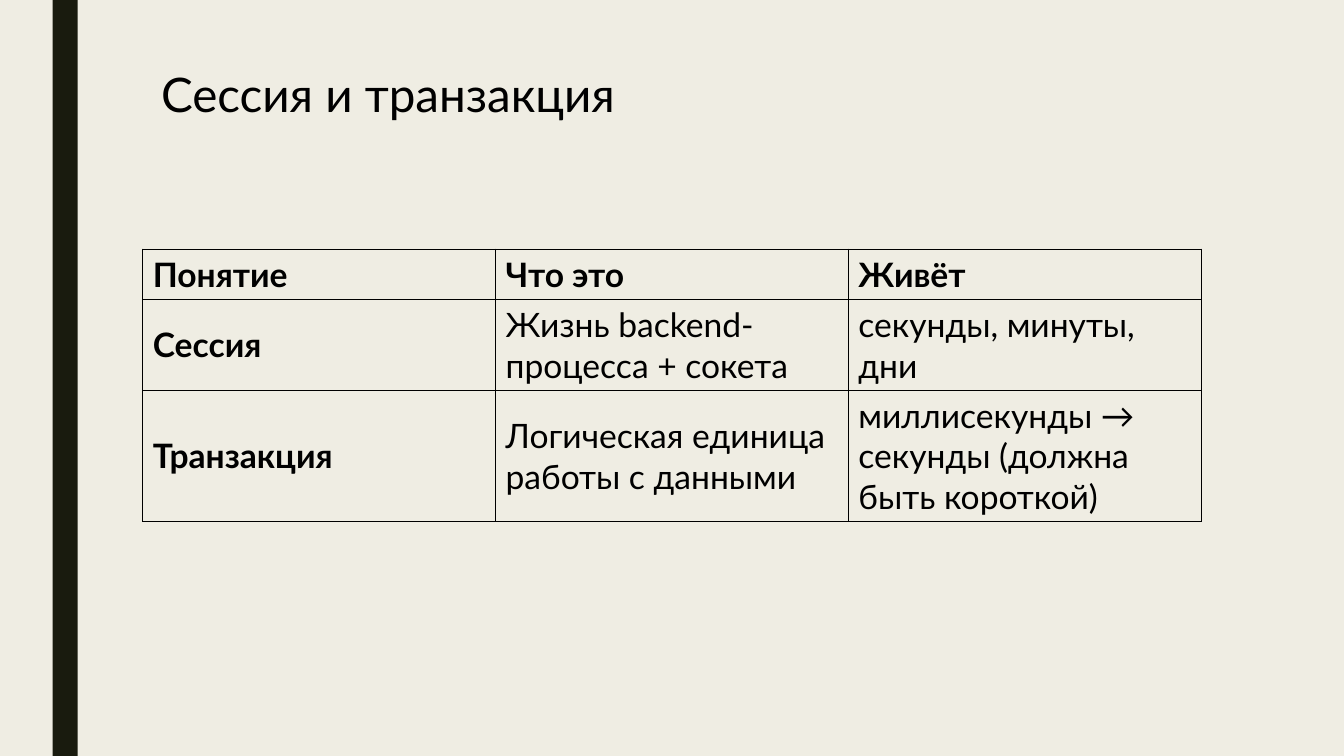
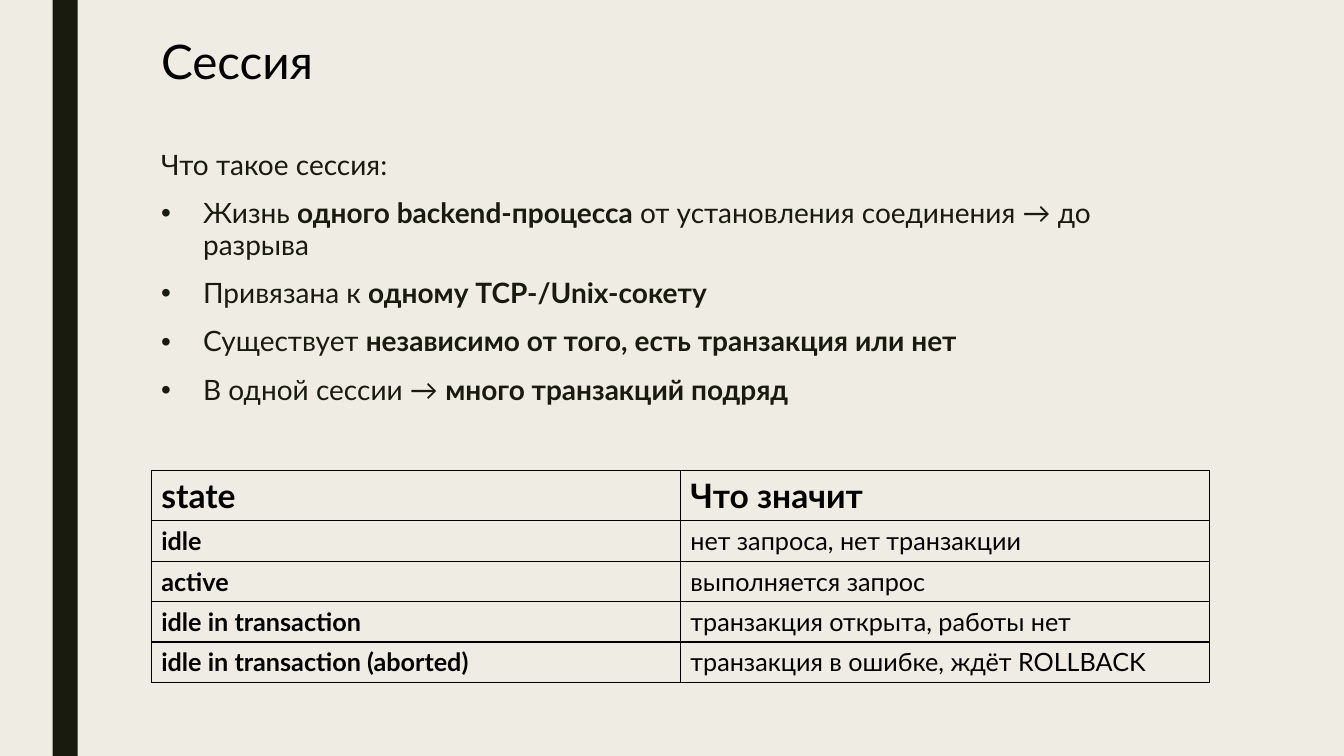
"""Build two slides on database sessions and transactions."""
from lxml import etree
from pptx import Presentation
from pptx.dml.color import RGBColor
from pptx.enum import shapes, text
from pptx.oxml import ns
from pptx.util import Pt

FONT = "Lato"
PAPER, DARK, BLACK = "EFEDE3", "191B0E", "000000"
PAGE_WIDTH, PAGE_HEIGHT = 960, 540
CONTENT_LEFT, CONTENT_WIDTH = 108, 756
INDENT = 30


def color(value):
    """Turn a hex string into a colour."""
    return RGBColor.from_string(value)


def style_font(font, size, value, bold=False):
    """Set the typeface, size, colour and weight."""
    font.name, font.size, font.bold = FONT, Pt(size), bold
    font.color.rgb = color(value)


def add_child(parent, tag, **attributes):
    """Append a drawing element to its parent."""
    return etree.SubElement(parent, ns.qn(tag), attributes)


def add_text_box(page, left, top, width, height):
    """Add a wrapping text box and return its frame."""
    frame = page.shapes.add_textbox(Pt(left), Pt(top), Pt(width), Pt(height)).text_frame
    frame.word_wrap = True
    frame.vertical_anchor = text.MSO_ANCHOR.TOP
    return frame


def add_page(deck, title, title_top):
    """Add a page with the side band and a title."""
    page = deck.slides.add_slide(deck.slide_layouts[6])
    band = page.shapes.add_shape(
        shapes.MSO_SHAPE.RECTANGLE, Pt(37.5), Pt(0), Pt(18), Pt(PAGE_HEIGHT))
    band.shadow.inherit = False
    band.fill.solid()
    band.fill.fore_color.rgb = color(DARK)
    band.line.fill.background()
    frame = add_text_box(page, CONTENT_LEFT, title_top, CONTENT_WIDTH, 85)
    frame.text = title
    para = frame.paragraphs[0]
    para.line_spacing = 0.89
    style_font(para.runs[0].font, 34, BLACK)
    return page


def add_bullet(para):
    """Give a paragraph a round bullet and a hanging indent."""
    properties = para._p.get_or_add_pPr()
    properties.set("marL", str(Pt(INDENT)))
    properties.set("indent", str(-Pt(INDENT)))
    add_child(properties, "a:buFont", typeface="Arial")
    add_child(properties, "a:buChar", char="•")


def add_body(page, left, top, width, height, lead, bullets):
    """Add a lead line followed by bullets of (text, bold) spans."""
    frame = add_text_box(page, left, top, width, height)
    for index, spans in enumerate([[(lead, False)], *bullets]):
        para = frame.add_paragraph() if index else frame.paragraphs[0]
        if index:
            add_bullet(para)
        para.line_spacing = 0.94
        para.space_before = Pt(10 if index else 0)
        para.space_after = Pt(2)
        for words, bold in spans:
            span = para.add_run()
            span.text = words
            style_font(span.font, 20, DARK, bold)


def add_borders(cell):
    """Draw a thin black line on each side of a cell."""
    properties = cell._tc.get_or_add_tcPr()
    for side in ("a:lnL", "a:lnR", "a:lnT", "a:lnB"):
        line = add_child(properties, side, w=str(Pt(1)))
        add_child(add_child(line, "a:solidFill"), "a:srgbClr", val=BLACK)


def add_grid(page, left, top, width, rows, line_counts, body_size):
    """Add a ruled table with a bold header row and first column."""
    sizes = [24] + [body_size] * (len(rows) - 1)
    heights = [1.2 * size * lines + 7.2 for size, lines in zip(sizes, line_counts)]
    table = page.shapes.add_table(
        len(rows), len(rows[0]), Pt(left), Pt(top), Pt(width), Pt(sum(heights))).table
    table.first_row = table.horz_banding = False
    for row_index, row in enumerate(rows):
        table.rows[row_index].height = Pt(heights[row_index])
        for column_index, words in enumerate(row):
            cell = table.cell(row_index, column_index)
            add_borders(cell)
            cell.fill.background()
            cell.vertical_anchor = text.MSO_ANCHOR.MIDDLE
            cell.text_frame.text = words
            bold = row_index == 0 or column_index == 0
            style_font(cell.text_frame.paragraphs[0].runs[0].font,
                       sizes[row_index], BLACK, bold)


def build_comparison(deck):
    """Build the slide that compares session and transaction."""
    page = add_page(deck, "Сессия и транзакция", 48)
    add_grid(page, 102, 178, CONTENT_WIDTH, [
        ("Понятие", "Что это", "Живёт"),
        ("Сессия", "Жизнь backend-процесса + сокета", "секунды, минуты, дни"),
        ("Транзакция", "Логическая единица работы с данными",
         "миллисекунды → секунды (должна быть короткой)"),
    ], (1, 2, 3), 24)


def build_session(deck):
    """Build the slide that explains a session and its states."""
    page = add_page(deck, "Сессия", 24.5)
    add_body(page, CONTENT_LEFT, 103.5, CONTENT_WIDTH, 220, "Что такое сессия:", [
        [("Жизнь ", False), ("одного backend-процесса ", True),
         ("от установления соединения → до разрыва", False)],
        [("Привязана к ", False), ("одному TCP-/Unix-сокету", True)],
        [("Существует ", False), ("независимо от того, есть транзакция или нет", True)],
        [("В одной сессии → ", False), ("много транзакций подряд", True)],
    ])
    add_grid(page, CONTENT_LEFT, 336, CONTENT_WIDTH, [
        ("state", "Что значит"),
        ("idle", "нет запроса, нет транзакции"),
        ("active", "выполняется запрос"),
        ("idle in transaction", "транзакция открыта, работы нет"),
        ("idle in transaction (aborted)", "транзакция в ошибке, ждёт ROLLBACK"),
    ], (1,) * 5, 18)


def main():
    """Build and save the deck."""
    deck = Presentation()
    deck.slide_width, deck.slide_height = Pt(PAGE_WIDTH), Pt(PAGE_HEIGHT)
    backdrop = deck.slide_master.background.fill
    backdrop.solid()
    backdrop.fore_color.rgb = color(PAPER)
    build_comparison(deck)
    build_session(deck)
    deck.save("out.pptx")


if __name__ == "__main__":
    main()
